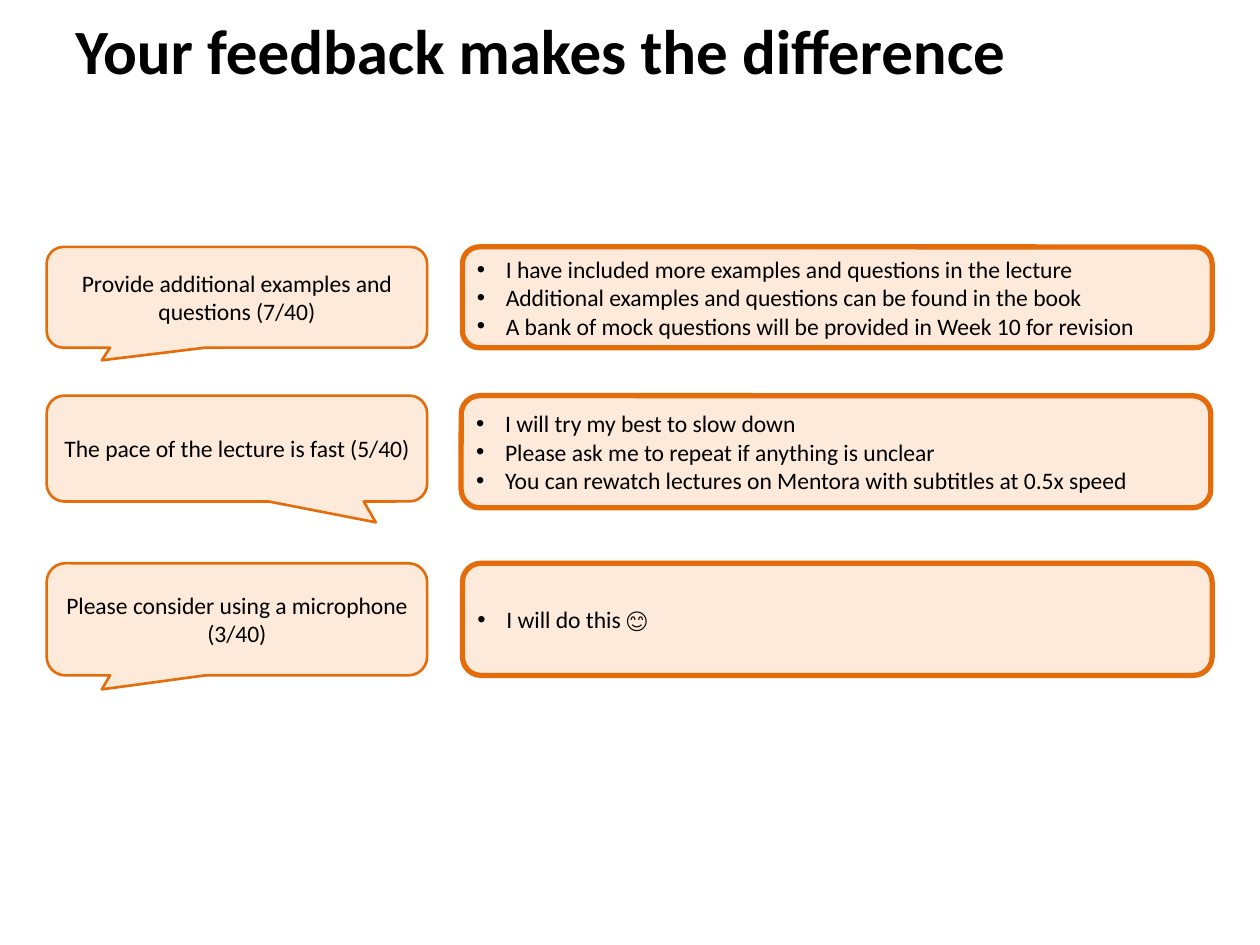
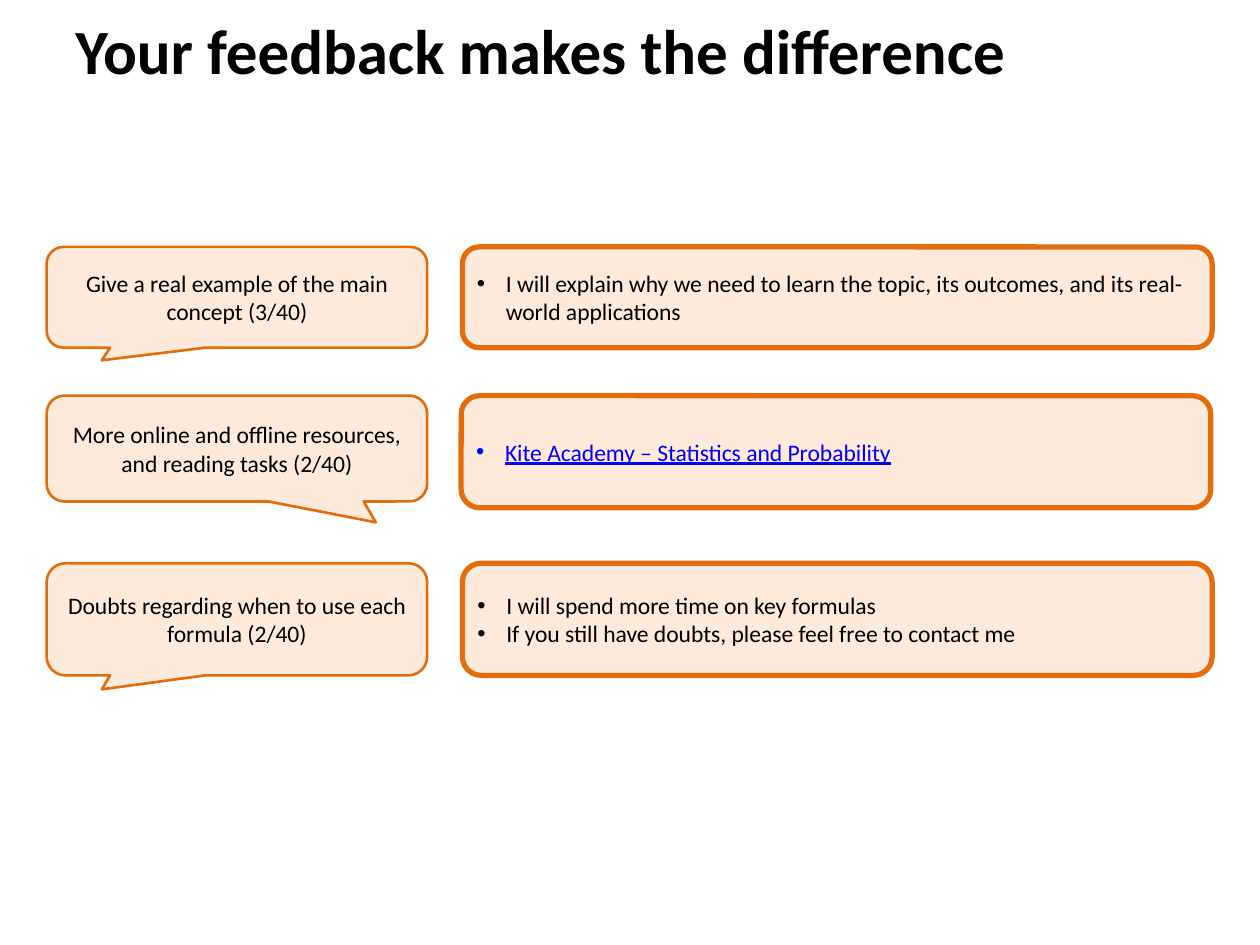
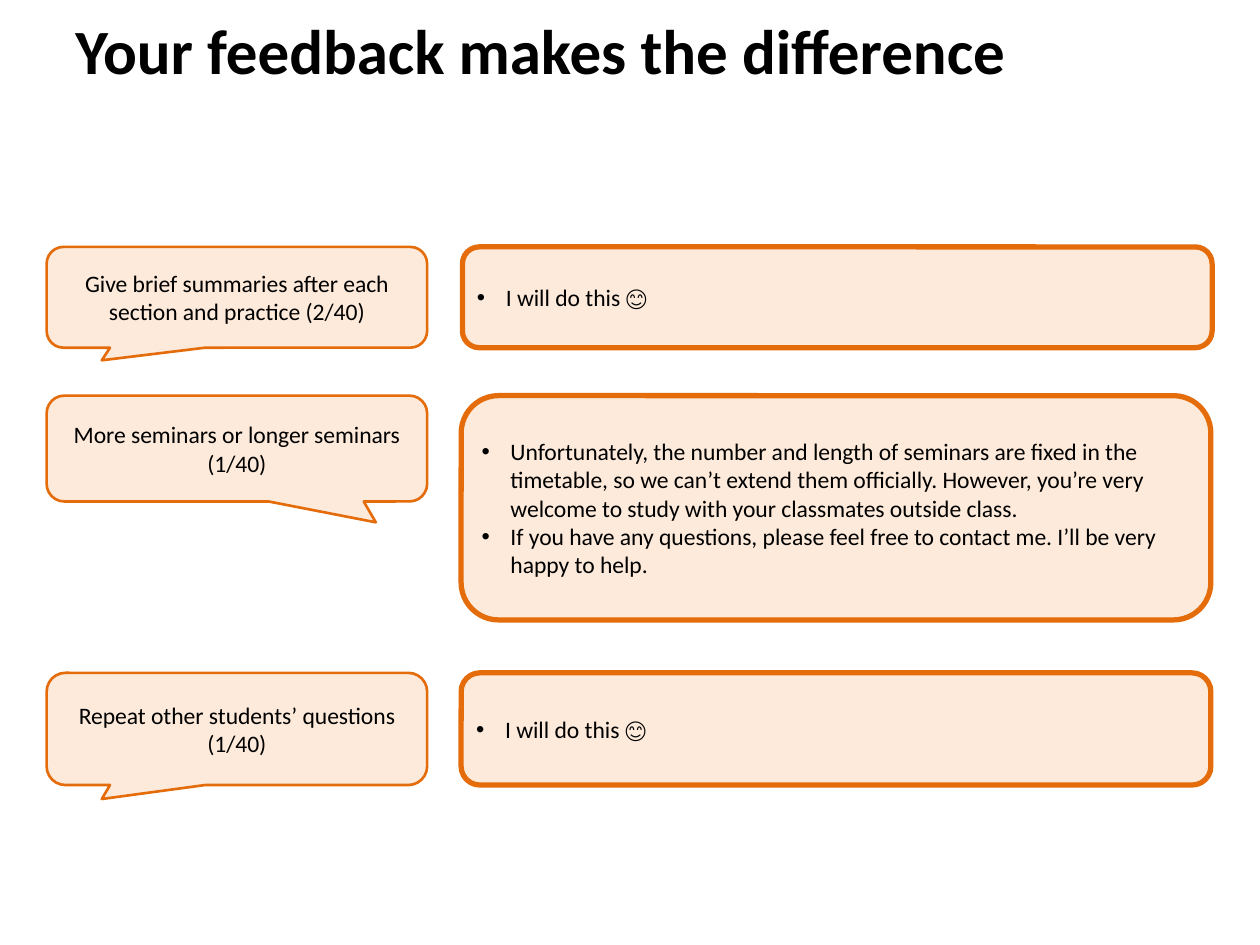
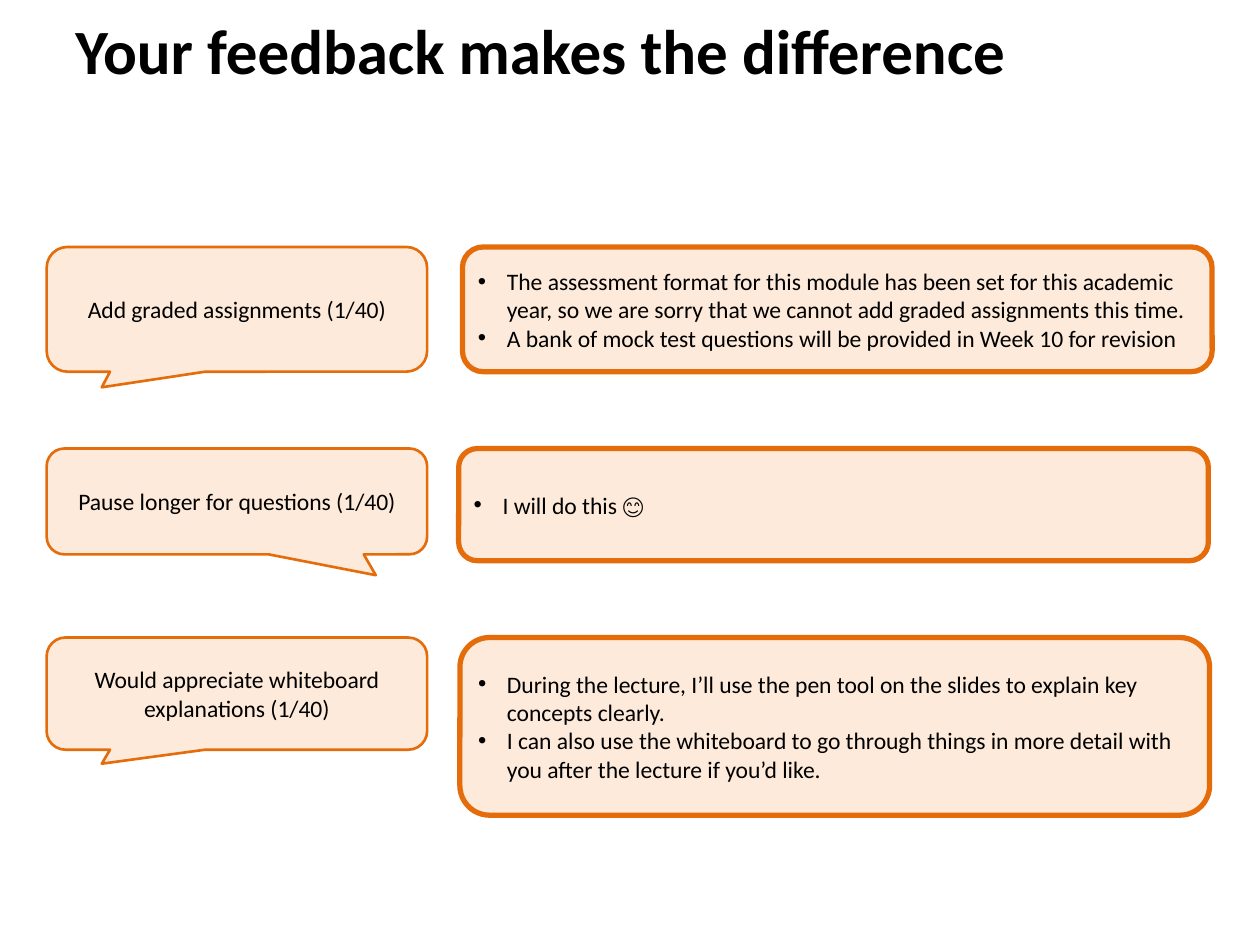
from lxml.etree import SubElement
from pptx import Presentation
from pptx.dml.color import RGBColor
from pptx.enum.shapes import MSO_SHAPE
from pptx.enum.text import MSO_ANCHOR, PP_ALIGN
from pptx.oxml.ns import qn
from pptx.util import Inches, Pt

COLORS = {"text": "000000", "fill": "FDEADA", "line": "E46C0A", "link": "0000FF"}
TITLE = "Your feedback makes the difference"
WILL_DO = "I will do this 😊"
TAIL_LEFT = (-0.355, 0.625, 0.167)
TAIL_RIGHT = (0.365, 0.697, 0.167)
TAILS = (TAIL_LEFT, TAIL_RIGHT, TAIL_LEFT)

# Each row: top, bubble height, answer left, answer height
STANDARD_ROWS = [
    (1.96, 0.8, 3.67, 0.8),
    (3.14, 0.84, 3.66, 0.89),
    (4.47, 0.89, 3.67, 0.89),
]
LONG_ANSWER_ROWS = [
    STANDARD_ROWS[0],
    (3.14, 0.84, 3.66, 1.78),
    (5.34, 0.89, 3.66, 0.89),
]
SPREAD_ROWS = [
    (1.96, 0.99, 3.67, 0.99),
    (3.56, 0.84, 3.64, 0.89),
    (5.06, 0.89, 3.65, 1.41),
]

SLIDES = [
    (STANDARD_ROWS, [
        ("Provide additional examples and questions (7/40)", [
            "I have included more examples and questions in the lecture",
            "Additional examples and questions can be found in the book",
            "A bank of mock questions will be provided in Week 10 for revision"]),
        ("The pace of the lecture is fast (5/40)", [
            "I will try my best to slow down",
            "Please ask me to repeat if anything is unclear",
            "You can rewatch lectures on Mentora with subtitles at 0.5x speed"]),
        ("Please consider using a microphone (3/40)", [WILL_DO]),
    ]),
    (STANDARD_ROWS, [
        ("Give a real example of the main concept (3/40)", [
            "I will explain why we need to learn the topic, its outcomes, "
            "and its real-world applications"]),
        ("More online and offline resources, and reading tasks (2/40)", [
            ("Kite Academy – Statistics and Probability", "link")]),
        ("Doubts regarding when to use each formula (2/40)", [
            "I will spend more time on key formulas",
            "If you still have doubts, please feel free to contact me"]),
    ]),
    (LONG_ANSWER_ROWS, [
        ("Give brief summaries after each section and practice (2/40)", [WILL_DO]),
        ("More seminars or longer seminars (1/40)", [
            "Unfortunately, the number and length of seminars are fixed in the "
            "timetable, so we can’t extend them officially. However, you’re very "
            "welcome to study with your classmates outside class.",
            "If you have any questions, please feel free to contact me. "
            "I’ll be very happy to help."]),
        ("Repeat other students’ questions (1/40)", [WILL_DO]),
    ]),
    (SPREAD_ROWS, [
        ("Add graded assignments (1/40)", [
            "The assessment format for this module has been set for this academic "
            "year, so we are sorry that we cannot add graded assignments this time.",
            "A bank of mock test questions will be provided in Week 10 for revision"]),
        ("Pause longer for questions (1/40)", [WILL_DO]),
        ("Would appreciate whiteboard explanations (1/40)", [
            "During the lecture, I’ll use the pen tool on the slides to explain "
            "key concepts clearly.",
            "I can also use the whiteboard to go through things in more detail "
            "with you after the lecture if you’d like."]),
    ]),
]


class Deck:
    FORMATS = {
        "title": {"size": Pt(36), "bold": True, "name": "Calibri"},
        "text": {"size": Pt(13.5), "name": "Calibri"},
        "link": {"size": Pt(13.5), "name": "Calibri", "underline": True},
    }
    FRAME = {
        "word_wrap": True,
        "vertical_anchor": MSO_ANCHOR.MIDDLE,
        "margin_left": Inches(0.075),
        "margin_right": Inches(0.075),
        "margin_top": Inches(0.04),
        "margin_bottom": Inches(0.04),
    }
    INDENT = Inches(0.23)

    def __init__(self):
        self.prs = Presentation()
        self.prs.slide_width, self.prs.slide_height = Inches(10), Inches(7.5)
        self.s = None

    def new_slide(self):
        self.s = self.prs.slides.add_slide(self.prs.slide_layouts[6])
        self.title()

    def title(self):
        sp = self.s.shapes.add_textbox(Inches(0.5), Inches(0.04), Inches(9), Inches(1.25))
        sp.text_frame.word_wrap = True
        self.run(sp.text_frame.paragraphs[0], TITLE, "title")

    def run(self, p, text, style="text"):
        r = p.add_run()
        r.text = text
        for name, value in self.FORMATS[style].items():
            setattr(r.font, name, value)
        r.font.color.rgb = RGBColor.from_string(COLORS.get(style, COLORS["text"]))

    def box(self, kind, left, top, width, height, line_width):
        """Add a filled, outlined shape and return it with its text frame set up."""
        sp = self.s.shapes.add_shape(
            kind, Inches(left), Inches(top), Inches(width), Inches(height))
        sp.shadow.inherit = False
        sp.fill.solid()
        sp.fill.fore_color.rgb = RGBColor.from_string(COLORS["fill"])
        sp.line.color.rgb = RGBColor.from_string(COLORS["line"])
        sp.line.width = Pt(line_width)
        for name, value in self.FRAME.items():
            setattr(sp.text_frame, name, value)
        return sp

    def bubble(self, top, height, text, tail):
        sp = self.box(MSO_SHAPE.ROUNDED_RECTANGULAR_CALLOUT, 0.37, top, 3.02, height, 1.5)
        for i, value in enumerate(tail):
            sp.adjustments[i] = value
        p = sp.text_frame.paragraphs[0]
        p.alignment = PP_ALIGN.CENTER
        self.run(p, text)

    def answer(self, left, top, height, items):
        sp = self.box(MSO_SHAPE.ROUNDED_RECTANGLE, left, top, 5.95, height, 3)
        tf = sp.text_frame
        for i, item in enumerate(items):
            p = tf.add_paragraph() if i else tf.paragraphs[0]
            p.alignment = PP_ALIGN.LEFT
            self.bullet(p)
            text, style = (item, "text") if isinstance(item, str) else item
            self.run(p, text, style)

    def bullet(self, p):
        pPr = p._p.get_or_add_pPr()
        pPr.set("marL", str(self.INDENT))
        pPr.set("indent", str(-self.INDENT))
        SubElement(pPr, qn("a:buFont"), typeface="Arial")
        SubElement(pPr, qn("a:buChar"), char="•")


def main():
    deck = Deck()
    for rows, feedback in SLIDES:
        deck.new_slide()
        for row, (comment, replies), tail in zip(rows, feedback, TAILS):
            top, bubble_height, answer_left, answer_height = row
            deck.bubble(top, bubble_height, comment, tail)
            deck.answer(answer_left, top, answer_height, replies)
    deck.prs.save("out.pptx")


if __name__ == "__main__":
    main()
